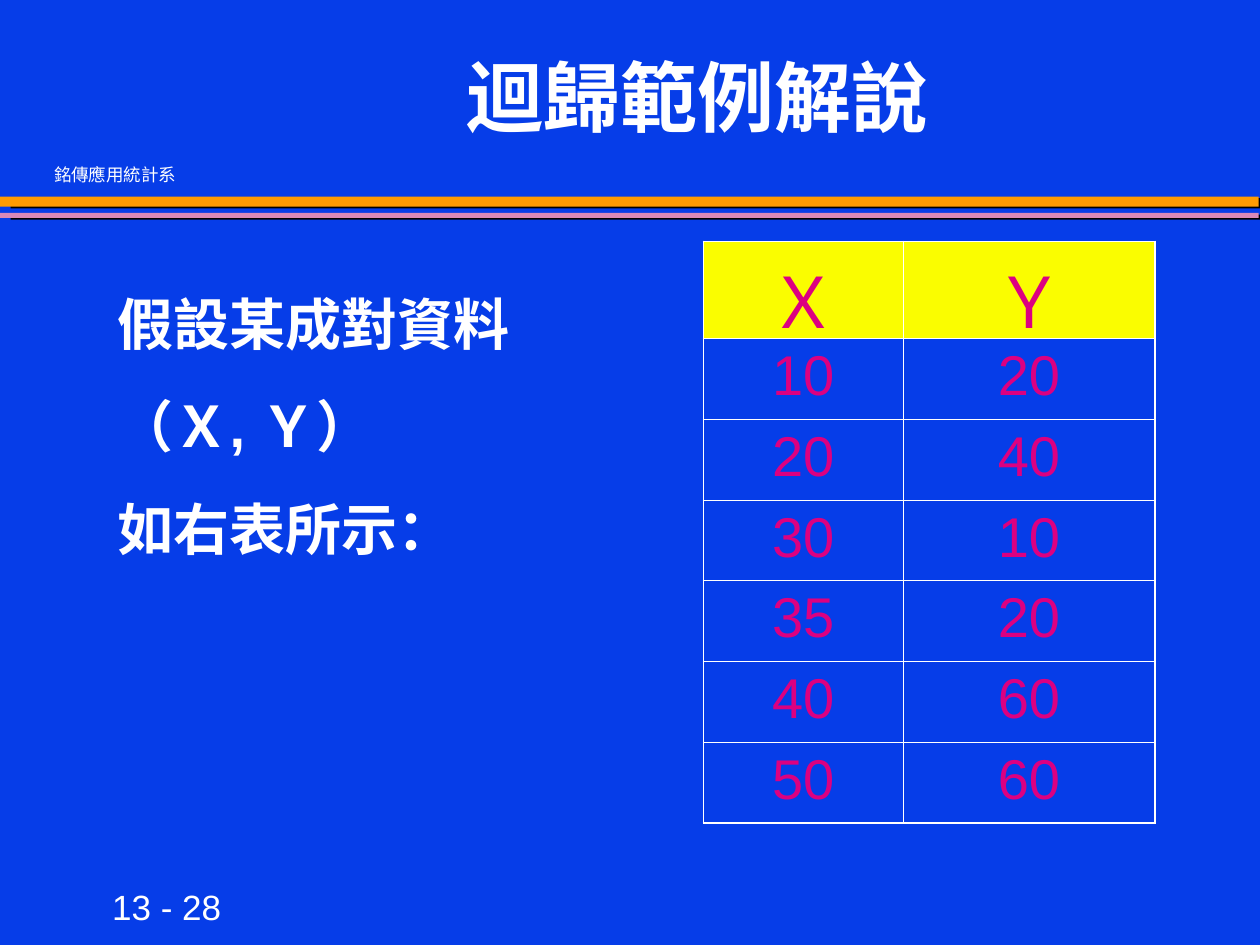
from lxml.etree import SubElement as Sub
from pptx import Presentation
from pptx.dml.color import RGBColor as RGB
from pptx.enum.shapes import MSO_SHAPE as Shape
from pptx.enum.text import MSO_ANCHOR as Anchor, MSO_AUTO_SIZE as Fit, PP_ALIGN as Align
from pptx.oxml.ns import qn
from pptx.util import Pt

BLUE = RGB(0x06, 0x3D, 0xE8)
ORANGE = RGB(0xFE, 0x9B, 0x03)
PINK = RGB(0xD9, 0x89, 0xB8)
YELLOW = RGB(0xFA, 0xFD, 0x00)
RED = RGB(0xDC, 0x00, 0x81)
WHITE = RGB(0xFF, 0xFF, 0xFF)

# Content
TITLE = "迴歸範例解說"
DEPT = "銘傳應用統計系"
PAGE = "13 - 28"
BODY = ["假設某成對資料", "（Ｘ, Ｙ）", "如右表所示："]
HEAD = ("Ｘ", "Ｙ")
PAIRS = [(10, 20), (20, 40), (30, 10), (35, 20), (40, 60), (50, 60)]
BARS = [(112.3, 5.8, ORANGE), (121.7, 2.9, PINK)]  # top, height, colour

# Table layout
COLS = (114, 144)
HEAD_H, ROW_H = 55.4, 46.2
THIN, THICK = 0.45, 1.08


def write(frame, *lines, size, font="Arial", color=WHITE, bold=False,
          align=Align.LEFT, gap=0, pitch=None):
    for i, line in enumerate(lines):
        para = frame.paragraphs[0] if i == 0 else frame.add_paragraph()
        para.alignment = align
        para.space_before = Pt(gap if i else 0)
        if pitch:
            para.line_spacing = pitch
        run = para.add_run()
        run.text = line
        run.font.size, run.font.name, run.font.bold = Pt(size), font, bold
        run.font.color.rgb = color


def add_box(slide, left, top, width, height, wrap=True, fit=Fit.SHAPE_TO_FIT_TEXT):
    box = slide.shapes.add_textbox(Pt(left), Pt(top), Pt(width), Pt(height))
    frame = box.text_frame
    frame.word_wrap, frame.auto_size = wrap, fit
    return frame


def add_bar(slide, top, height, color):
    bar = slide.shapes.add_shape(Shape.RECTANGLE, 0, Pt(top), Pt(719.3), Pt(height))
    bar.fill.solid()
    bar.fill.fore_color.rgb = color
    bar.line.fill.background()
    bar.shadow.inherit = False
    # Hard black shadow, slightly below the right
    effects = bar.element.spPr.find(qn("a:effectLst"))
    shade = Sub(effects, qn("a:outerShdw"), blurRad="0", dist=str(Pt(6.1)),
                dir=str(9 * 60000), algn="ctr", rotWithShape="0")
    Sub(shade, qn("a:srgbClr"), val="000000")


def set_edge(cell, side, width):
    props = cell._tc.get_or_add_tcPr()
    line = Sub(props, qn(f"a:ln{side}"), w=str(Pt(width)))
    Sub(Sub(line, qn("a:solidFill")), qn("a:srgbClr"), val=str(WHITE))


def add_pairs(slide, left, top):
    rows = [HEAD] + PAIRS
    last_r, last_c = len(rows) - 1, len(COLS) - 1
    table = slide.shapes.add_table(
        len(rows), len(COLS), Pt(left), Pt(top), Pt(sum(COLS)),
        Pt(HEAD_H + ROW_H * len(PAIRS))).table
    for col, width in zip(table.columns, COLS):
        col.width = Pt(width)
    for r, row in enumerate(rows):
        table.rows[r].height = Pt(ROW_H if r else HEAD_H)
        for c, value in enumerate(row):
            cell = table.cell(r, c)
            outer = {"L": c == 0, "R": c == last_c, "T": r == 0, "B": r == last_r}
            for side, edge in outer.items():
                set_edge(cell, side, THICK if edge else THIN)
            if r == 0:
                cell.fill.solid()
                cell.fill.fore_color.rgb = YELLOW
            else:
                cell.fill.background()
            write(cell.text_frame, str(value), size=32 if r else 40,
                  color=RED, align=Align.CENTER)


def main():
    deck = Presentation()
    deck.slide_width, deck.slide_height = Pt(720), Pt(540)
    slide = deck.slides.add_slide(deck.slide_layouts[6])
    slide.background.fill.solid()
    slide.background.fill.fore_color.rgb = BLUE

    # Rules, page number and department
    for bar in BARS:
        add_bar(slide, *bar)
    write(add_box(slide, 57, 502.5, 145.5, 31, wrap=False), PAGE, size=20)
    write(add_box(slide, 23.8, 90, 90, 31), DEPT, size=10)

    # Title
    frame = add_box(slide, 132, 12, 534, 90, fit=Fit.NONE)
    frame.vertical_anchor = Anchor.MIDDLE
    write(frame, TITLE, size=44, font="Cambria", bold=True,
          align=Align.CENTER, pitch=0.95)

    # Data table and body text
    add_pairs(slide, 402, 138)
    write(add_box(slide, 60, 162, 306, 162.7), *BODY, size=32, bold=True, gap=20)

    deck.save("out.pptx")


if __name__ == "__main__":
    main()
